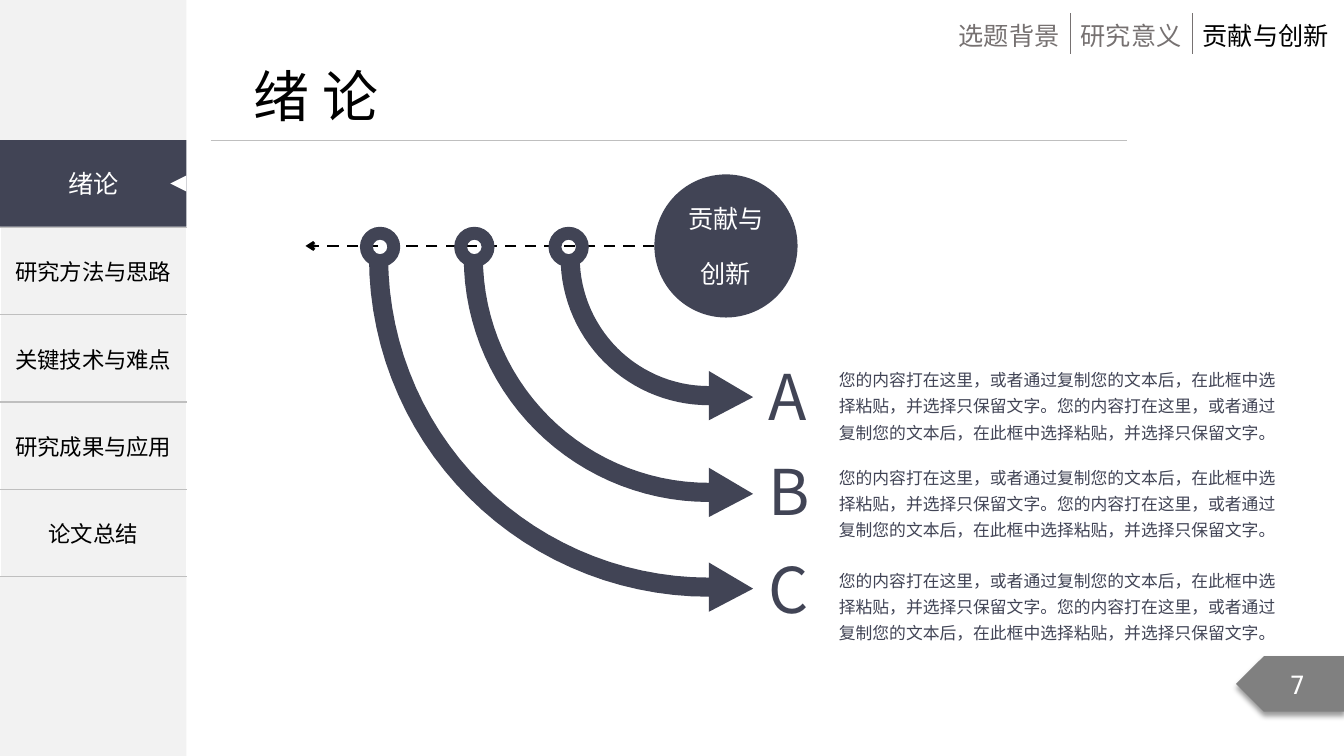
import math

import pptx
import pptx.chart.data
import pptx.dml.color
import pptx.enum.dml
import pptx.enum.shapes
import pptx.enum.text
import pptx.oxml
import pptx.oxml.ns
import pptx.util
from pptx.util import Inches

RGBColor = pptx.dml.color.RGBColor
SHAPES = pptx.enum.shapes.MSO_SHAPE
ANCHOR = pptx.enum.text.MSO_ANCHOR
ALIGN = pptx.enum.text.PP_ALIGN

NAVY = RGBColor(0x41, 0x44, 0x55)
BLACK = RGBColor(0, 0, 0)
WHITE = RGBColor(255, 255, 255)
PALE = RGBColor(0xF2, 0xF2, 0xF2)
RULE = RGBColor(0xBF, 0xBF, 0xBF)
MUTED = RGBColor(0x76, 0x71, 0x71)
GRAY = RGBColor(0x80, 0x80, 0x80)
FONT = "Noto Sans CJK SC"
TIGHT = (0.08, 0.04, 0.08, 0.04)
DEFAULT = (0.1, 0.05, 0.1, 0.05)

SECTIONS = ["", "研究方法与思路", "关键技术与难点", "研究成果与应用", "论文总结"]
TABS = [("选题背景", 1.21, MUTED), ("研究意义", 1.21, MUTED), ("贡献与创新", 1.46, BLACK)]
BODY = "您的内容打在这里，或者通过复制您的文本后，在此框中选择粘贴，并选择只保留文字。" * 2
# Letter, its top, top of its description, outer radius of its arrow
POINTS = [("A", 3.5, 3.57, 1.47), ("B", 4.44, 4.54, 2.43), ("C", 5.42, 5.56, 3.37)]


def xml(source):
    namespace = pptx.oxml.ns.nsdecls("a")
    return pptx.oxml.parse_xml(source.replace(" ", f" {namespace} ", 1))


def write(frame, text, size, color, font=FONT, align=ALIGN.LEFT, anchor=ANCHOR.TOP,
          insets=DEFAULT, wrap=True, line_spacing=None, gap=0):
    """Fill a text frame, one paragraph for each line of text."""
    frame.word_wrap = wrap
    frame.vertical_anchor = anchor
    (frame.margin_left, frame.margin_top,
     frame.margin_right, frame.margin_bottom) = map(Inches, insets)
    for index, line in enumerate(text.split("\n")):
        paragraph = frame.add_paragraph() if index else frame.paragraphs[0]
        paragraph.alignment = align
        if line_spacing:
            paragraph.line_spacing = line_spacing
        if index:
            paragraph.space_before = pptx.util.Pt(gap)
        run = paragraph.add_run()
        run.text = line
        run.font.size = pptx.util.Pt(size)
        run.font.color.rgb = color
        run.font.name = font
        run.font._element.append(xml(f'<a:ea typeface="{font}"/>'))


def add_label(slide, box, text, size, color, **style):
    shape = slide.shapes.add_textbox(*map(Inches, box))
    write(shape.text_frame, text, size, color, **style)


def paint(shape, color):
    shape.shadow.inherit = False
    shape.fill.solid()
    shape.fill.fore_color.rgb = color
    shape.line.fill.background()
    return shape


def add_block(slide, kind, box, color):
    return paint(slide.shapes.add_shape(kind, *map(Inches, box)), color)


def add_line(slide, start, end, color, width):
    line = slide.shapes.add_connector(
        pptx.enum.shapes.MSO_CONNECTOR.STRAIGHT, *map(Inches, start + end))
    line.line.color.rgb = color
    line.line.width = pptx.util.Pt(width)
    line._element.spPr.append(xml("<a:effectLst />"))
    return line


def add_sidebar(slide, left, top, width, height):
    add_block(slide, SHAPES.RECTANGLE, (left, top, width, height), PALE)
    # Section list
    menu_top, row_height = top + 1.39, 0.866
    frame = slide.shapes.add_table(len(SECTIONS), 1, *map(
        Inches, (left, menu_top, width, row_height * len(SECTIONS))))
    table = frame.table
    table.first_row = table.horz_banding = False
    for index, section in enumerate(SECTIONS):
        cell = table.cell(index, 0)
        properties = cell._tc.get_or_add_tcPr()
        for edge in ("lnT", "lnB"):
            properties.append(xml(
                f'<a:{edge} w="12700"><a:solidFill><a:srgbClr val="{RULE}"/>'
                f'</a:solidFill></a:{edge}>'))
        cell.fill.background()
        cell.vertical_anchor = ANCHOR.MIDDLE
        if section:
            write(cell.text_frame, section, 16, BLACK, align=ALIGN.CENTER,
                  anchor=ANCHOR.MIDDLE)
            cell.margin_left = cell.margin_right = Inches(0.1)
    # Current section
    current = add_block(slide, SHAPES.RECTANGLE, (left, menu_top, width, 0.86), NAVY)
    write(current.text_frame, "绪论", 18, WHITE, align=ALIGN.CENTER, anchor=ANCHOR.MIDDLE)
    pointer = add_block(slide, SHAPES.ISOSCELES_TRIANGLE,
                        (left + width - 0.16, menu_top + 0.35, 0.16, 0.16), WHITE)
    pointer.rotation = 270


def add_header(slide, left, top, width):
    add_label(slide, (left + 0.33, top, 1.6, 0.77), "绪 论", 40, BLACK, wrap=False)
    add_line(slide, (left, top + 0.83), (left + width, top + 0.83), RULE, 0.5)


def add_tabs(slide, left, top):
    for index, (text, width, color) in enumerate(TABS):
        add_label(slide, (left, top, width, 0.4), text, 18, color, wrap=False)
        if index:
            add_line(slide, (left, top - 0.02), (left, top + 0.39), MUTED, 0.5)
        left += width


def add_page_number(slide, left, top, width, height):
    badge = add_block(slide, SHAPES.PENTAGON, (left, top, width, height), GRAY)
    badge._element.spPr.xfrm.set("flipH", "1")
    effects = badge._element.spPr.find(pptx.oxml.ns.qn("a:effectLst"))
    effects.append(xml(
        '<a:outerShdw blurRad="50800" dist="38100" dir="5400000" algn="t" rotWithShape="0">'
        '<a:srgbClr val="000000"><a:alpha val="40000"/></a:srgbClr></a:outerShdw>'))
    write(badge.text_frame, "7", 18, WHITE, font="DejaVu Sans Mono",
          align=ALIGN.CENTER, anchor=ANCHOR.MIDDLE)


def add_curved_arrow(slide, center_x, center_y, radius):
    """Quarter-ring band that ends in an arrowhead pointing right."""
    def arc(size):
        angles = [math.radians(90 + 3 * step) for step in range(31)]
        return [(center_x + size * math.cos(angle), center_y + size * math.sin(angle))
                for angle in angles]

    bottom = center_y + radius
    head = [(center_x, bottom - 0.34), (center_x + 0.44, bottom - 0.08),
            (center_x, bottom + 0.15)]
    outline = arc(radius) + arc(radius - 0.19)[::-1] + head
    points = [(Inches(x), Inches(y)) for x, y in outline]
    builder = slide.shapes.build_freeform(*points[0])
    builder.add_line_segments(points[1:], close=True)
    paint(builder.convert_to_shape(), NAVY)


def add_diagram(slide, left, top):
    # Hub and dashed axis
    hub_left, hub_size = left + 3.46, 1.42
    hub = add_block(slide, SHAPES.OVAL, (hub_left, top, hub_size, hub_size), NAVY)
    write(hub.text_frame, "贡献与\n创新", 18, WHITE, align=ALIGN.CENTER,
          anchor=ANCHOR.MIDDLE, insets=TIGHT, gap=18)
    axis_y = top + hub_size / 2
    axis = add_line(slide, (hub_left, axis_y), (left, axis_y), BLACK, 0)
    axis.line.dash_style = pptx.enum.dml.MSO_LINE.DASH
    axis.line._ln.append(xml('<a:tailEnd type="arrow"/>'))
    # Rings, arrows, letters and descriptions
    for index, (letter, letter_top, body_top, radius) in enumerate(POINTS):
        ring_left = left + 2.41 - 0.935 * index
        ring = add_block(slide, SHAPES.DONUT, (ring_left, top + 0.52, 0.4, 0.4), NAVY)
        ring.adjustments[0] = 0.32
        add_curved_arrow(slide, left + 4, top + 0.82, radius)
        add_label(slide, (left + 4.51, letter_top, 0.6, 0.84), letter, 45, NAVY,
                  anchor=ANCHOR.MIDDLE, insets=TIGHT, wrap=False)
        add_label(slide, (left + 5.21, body_top, 4.52, 0.87), BODY, 12, NAVY,
                  insets=TIGHT, line_spacing=1.3)


def main():
    presentation = pptx.Presentation()
    presentation.slide_width = Inches(13.33)
    presentation.slide_height = Inches(7.5)
    slide = presentation.slides.add_slide(presentation.slide_layouts[6])
    add_sidebar(slide, 0, 0, 1.85, 7.5)
    add_header(slide, 2.09, 0.56, 9.09)
    add_page_number(slide, 12.26, 6.51, 1.08, 0.55)
    add_tabs(slide, 9.41, 0.15)
    add_diagram(slide, 3.03, 1.73)
    presentation.save("out.pptx")


if __name__ == "__main__":
    main()
